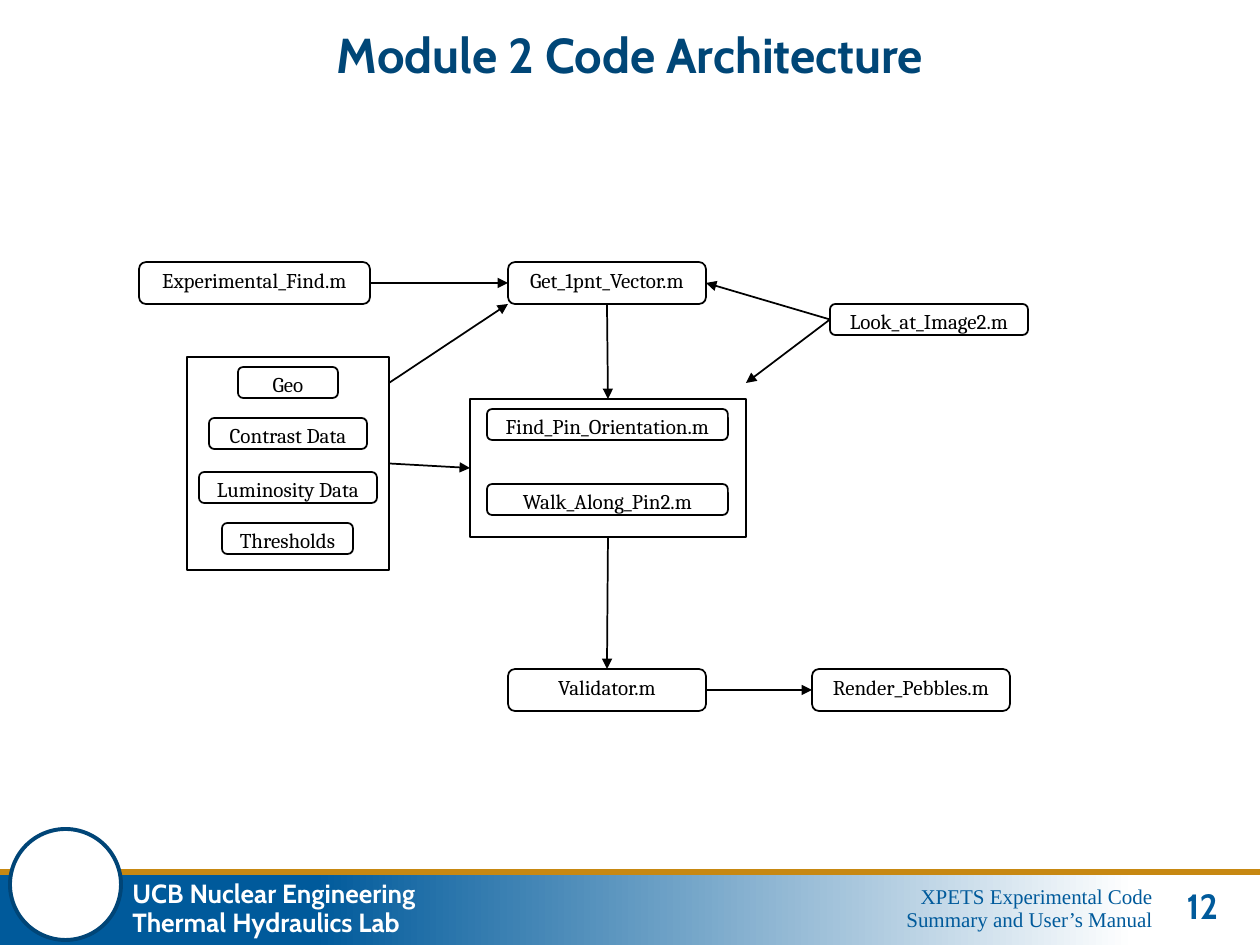
from lxml import etree
from pptx import Presentation, util as u
from pptx.dml.color import RGBColor
from pptx.enum import shapes, text
from pptx.oxml.ns import qn

PX = 914400 / 126
BLACK, WHITE, BLUE, NAVY, GOLD = "000000", "FFFFFF", "005A9B", "004577", "C78812"
TOP, LEFT, BOTTOM, RIGHT = range(4)
SHAPE = shapes.MSO_SHAPE


def px(*lengths):
    return [u.Emu(round(n * PX)) for n in lengths]


def rgb(value):
    return RGBColor.from_string(value)


def write(s, lines, font, size, color, align, bold=False,
          anchor=text.MSO_ANCHOR.MIDDLE):
    tf = s.text_frame
    tf.word_wrap = True
    tf.vertical_anchor = anchor
    for i, line in enumerate(lines):
        p = tf.add_paragraph() if i else tf.paragraphs[0]
        p.text = line
        p.alignment = align
        p.line_spacing = 0.9
        p.font.name = font
        p.font.size = u.Pt(size)
        p.font.bold = bold
        p.font.color.rgb = rgb(color)


def label(slide, box, *args, **kwargs):
    write(slide.shapes.add_textbox(*px(*box)), *args, **kwargs)


def outline(slide, kind, box, fill=None, color=BLACK, width=1):
    s = slide.shapes.add_shape(kind, *px(*box))
    s.shadow.inherit = False
    if fill:
        s.fill.solid()
        s.fill.fore_color.rgb = rgb(fill)
    else:
        s.fill.background()
    s.line.color.rgb = rgb(color)
    s.line.width = u.Pt(width)
    return s


def node(slide, name, box):
    s = outline(slide, SHAPE.ROUNDED_RECTANGLE, box, WHITE)
    write(s, [name], "Cambria", 12, BLACK, text.PP_ALIGN.CENTER,
          anchor=text.MSO_ANCHOR.TOP)
    return s


def panel(slide, box, items):
    """Frame holding centred nodes, given as (name, top offset, width)."""
    x, y, w, h = box
    frame = outline(slide, SHAPE.RECTANGLE, box)
    for name, top, width in items:
        node(slide, name, (x + (w - width) // 2, y + top, width, 31))
    return frame


def straight(slide, start, end, color=BLACK, width=1):
    s = slide.shapes.add_connector(shapes.MSO_CONNECTOR.STRAIGHT, *px(*start, *end))
    s.line.color.rgb = rgb(color)
    s.line.width = u.Pt(width)
    etree.SubElement(s._element.spPr, qn("a:effectLst"))
    return s


def arrow(slide, start, end):
    """Each end is a (shape, side) pair to join, or an (x, y) point."""
    joined = [not isinstance(e[0], int) for e in (start, end)]
    points = [(0, 0) if j else e for j, e in zip(joined, (start, end))]
    s = straight(slide, *points)
    if joined[0]:
        s.begin_connect(*start)
    if joined[1]:
        s.end_connect(*end)
    etree.SubElement(s.line._get_or_add_ln(), qn("a:tailEnd"), type="triangle")


def footer(slide, box):
    x, y, w, h = box
    band = outline(slide, SHAPE.RECTANGLE, box)
    band.line.fill.background()
    band.fill.gradient()
    band.fill.gradient_angle = 0
    for stop, (position, color) in zip(band.fill.gradient_stops,
                                       [(0.25, BLUE), (0.9, WHITE)]):
        stop.position = position
        stop.color.rgb = rgb(color)
    label(slide, (x + 1165, y + 11, 75, 50), ["12"], "Cabin", 20, BLUE,
          text.PP_ALIGN.CENTER, bold=True)
    label(slide, (x + 120, y + 2, 321, 71),
          ["UCB Nuclear Engineering", "Thermal Hydraulics Lab"],
          "Cabin", 15, WHITE, text.PP_ALIGN.LEFT, bold=True)
    straight(slide, (x, y), (x + w, y), GOLD, 3.25)
    outline(slide, SHAPE.OVAL, (x + 10, y - 43, 111, 111), WHITE, NAVY, 2.25)
    label(slide, (x + 756, y + 8, 409, 58),
          ["XPETS Experimental Code", "Summary and User’s Manual"],
          "Times New Roman", 12, BLUE, text.PP_ALIGN.RIGHT)


def flowchart(slide, box):
    x, y = box[:2]

    def at(left, top, *size):
        return (x + left, y + top, *size)

    experimental = node(slide, "Experimental_Find.m", at(0, 0, 231, 42))
    vector = node(slide, "Get_1pnt_Vector.m", at(369, 0, 198, 42))
    look = node(slide, "Look_at_Image2.m", at(691, 42, 198, 31))
    validator = node(slide, "Validator.m", at(369, 407, 198, 42))
    render = node(slide, "Render_Pebbles.m", at(673, 407, 198, 42))
    data = panel(slide, at(48, 95, 202, 213), [
        ("Geo", 10, 100), ("Contrast Data", 61, 158),
        ("Luminosity Data", 115, 178), ("Thresholds", 166, 131)])
    pins = panel(slide, at(331, 137, 276, 138), [
        ("Find_Pin_Orientation.m", 10, 241), ("Walk_Along_Pin2.m", 85, 241)])

    for start, end in [
        ((experimental, RIGHT), (vector, LEFT)),
        ((vector, BOTTOM), (pins, TOP)),
        ((pins, BOTTOM), (validator, TOP)),
        ((validator, RIGHT), (render, LEFT)),
        ((look, LEFT), (vector, RIGHT)),
        ((look, LEFT), at(607, 121)),
        (at(250, 121), at(369, 42)),
        ((data, RIGHT), (pins, LEFT)),
    ]:
        arrow(slide, start, end)


def main():
    prs = Presentation()
    prs.slide_width, prs.slide_height = px(1260, 945)
    slide = prs.slides.add_slide(prs.slide_layouts[6])
    footer(slide, (0, 872, 1260, 73))
    label(slide, (110, 21, 1040, 73), ["Module 2 Code Architecture"], "Cabin", 28,
          "004677", text.PP_ALIGN.CENTER, bold=True)
    flowchart(slide, (139, 262, 889, 449))
    prs.save("out.pptx")


if __name__ == "__main__":
    main()
